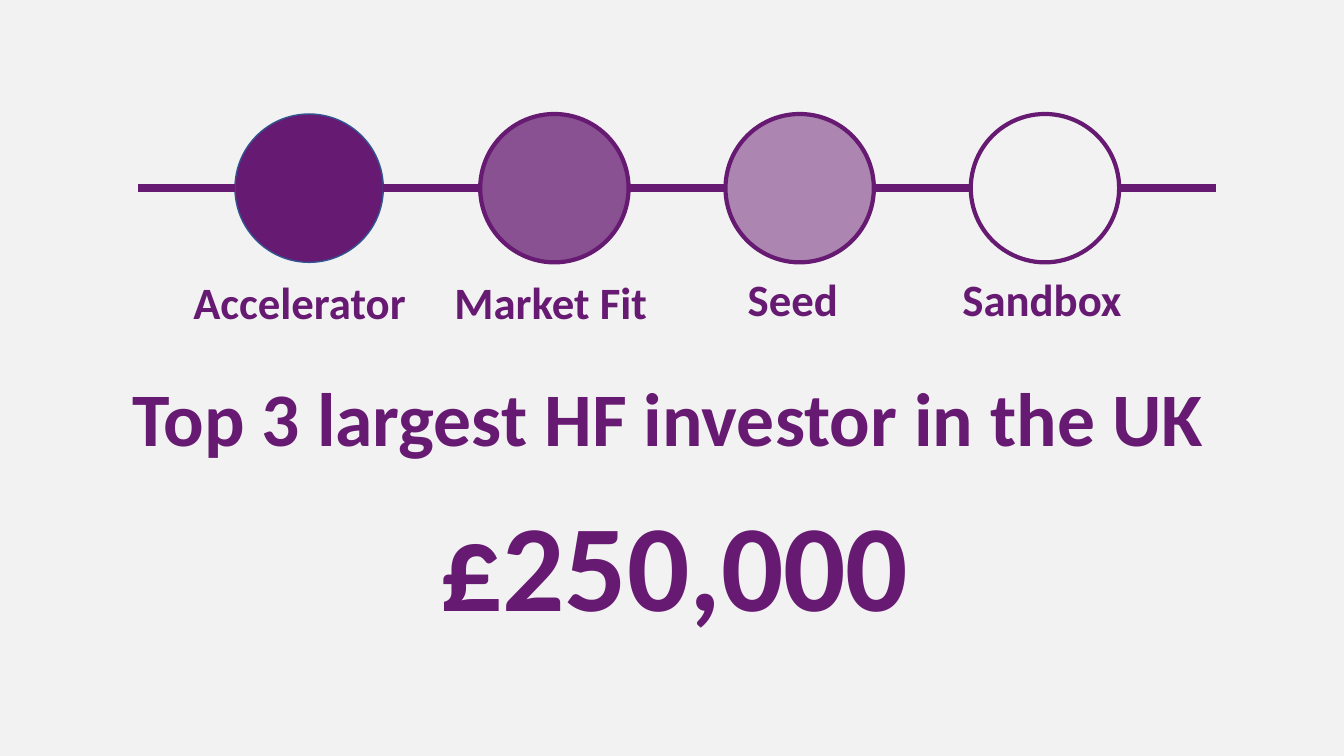
from pptx import Presentation
from pptx.dml.color import RGBColor
from pptx.enum.shapes import MSO_CONNECTOR, MSO_SHAPE
from pptx.oxml.ns import qn
from pptx.util import Pt
from lxml.etree import SubElement

COLORS = {"plum": "671A72", "blue": "325491", "back": "F2F2F2"}
FONT = "Calibri"

# Stages: opacity in percent, outline colour, outline width
STAGES = [(100, "blue", 1), (75, "plum", 3), (50, "plum", 3), (0, "plum", 3)]

# Texts: wording, size, left, top, width, height
TEXTS = [
    ("£250,000", 88, 307.4, 345.6, 352, 113.8),
    ("Top 3 largest HF investor in the UK", 54, 87.8, 261.4, 818.6, 72.7),
    ("Accelerator", 32, 131, 193, 186.5, 46),
    ("Market Fit", 32, 317.5, 193, 186.5, 46),
    ("Seed", 32, 527, 190.8, 88.6, 46),
    ("Sandbox", 32, 680.4, 190.8, 144, 46),
]

# Timeline grid
LEFT, TOP, SIZE, STEP = 167.8, 81.4, 106, 175.2
GAP = STEP - SIZE
MID = TOP + SIZE / 2


def color(name):
    return RGBColor.from_string(COLORS[name])


def add_stage(slide, x, alpha, edge, width):
    dot = slide.shapes.add_shape(
        MSO_SHAPE.OVAL, Pt(x), Pt(TOP), Pt(SIZE), Pt(SIZE))
    dot.shadow.inherit = False
    dot.line.color.rgb = color(edge)
    dot.line.width = Pt(width)
    if not alpha:
        dot.fill.background()
        return
    dot.fill.solid()
    dot.fill.fore_color.rgb = color("plum")
    if alpha < 100:
        tint = dot._element.spPr.find(qn("a:solidFill"))[0]
        SubElement(tint, qn("a:alpha"), val=str(alpha * 1000))


def add_link(slide, x):
    link = slide.shapes.add_connector(
        MSO_CONNECTOR.STRAIGHT, Pt(x - GAP), Pt(MID), Pt(x), Pt(MID))
    link.line.color.rgb = color("plum")
    link.line.width = Pt(6)
    SubElement(link._element.spPr, qn("a:effectLst"))


def add_text(slide, words, size, *box):
    frame = slide.shapes.add_textbox(*map(Pt, box)).text_frame
    frame.word_wrap = True
    run = frame.paragraphs[0].add_run()
    run.text = words
    run.font.name = FONT
    run.font.size = Pt(size)
    run.font.bold = True
    run.font.color.rgb = color("plum")


def main():
    deck = Presentation()
    deck.slide_width, deck.slide_height = Pt(960), Pt(540)
    slide = deck.slides.add_slide(deck.slide_layouts[6])
    slide.background.fill.solid()
    slide.background.fill.fore_color.rgb = color("back")

    # Headline, amount and stage names
    for text in TEXTS:
        add_text(slide, *text)

    # Circles, then a line before each one and after the last
    for i, stage in enumerate(STAGES):
        add_stage(slide, LEFT + i * STEP, *stage)
    for i in range(len(STAGES) + 1):
        add_link(slide, LEFT + i * STEP)

    deck.save("out.pptx")


if __name__ == "__main__":
    main()
